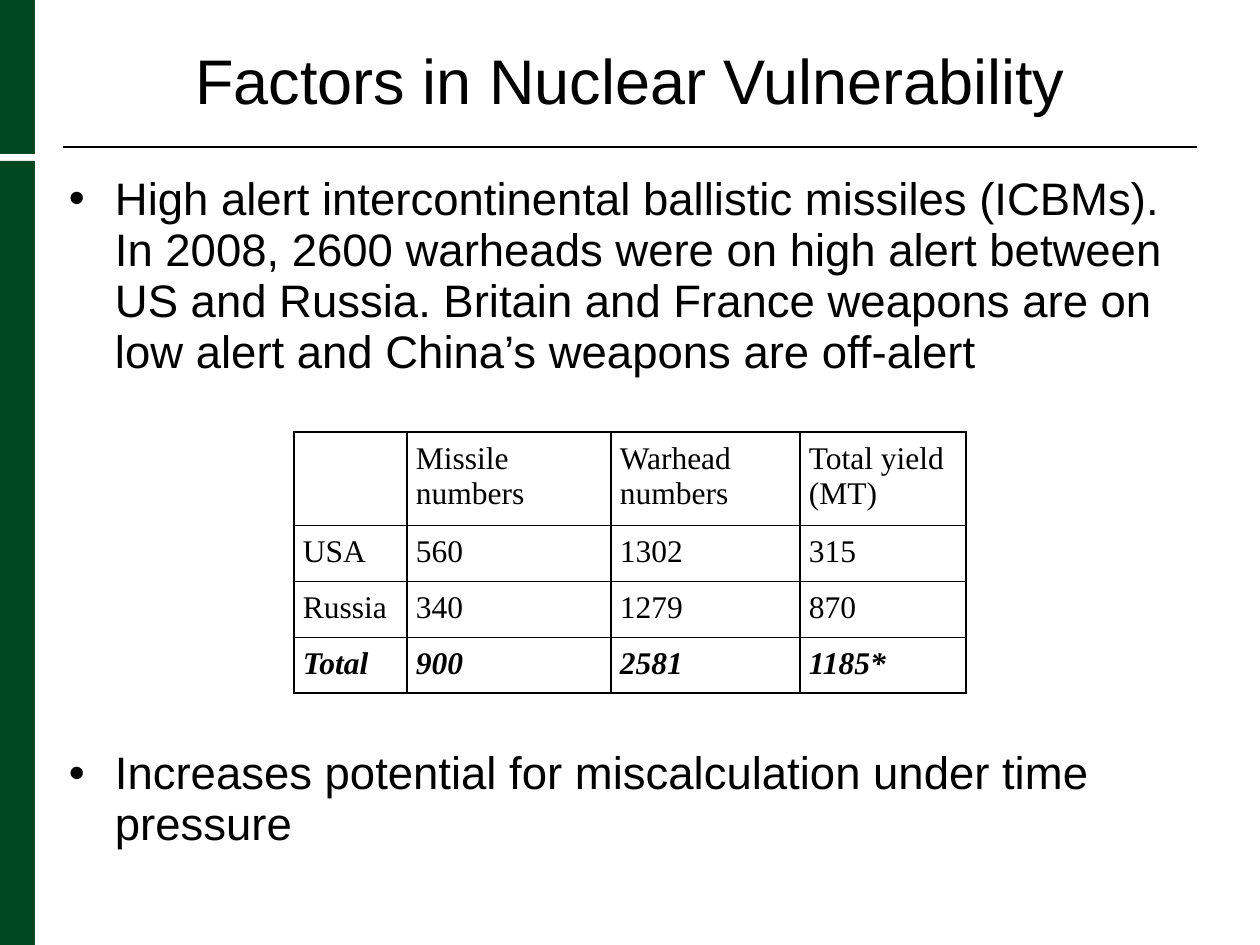
from dataclasses import dataclass

from lxml.etree import SubElement
from pptx import Presentation
from pptx.dml.color import RGBColor
from pptx.enum.shapes import MSO_CONNECTOR, MSO_SHAPE
from pptx.enum.text import MSO_ANCHOR as Anchor, MSO_AUTO_SIZE as AutoSize, PP_ALIGN as Align
from pptx.oxml.ns import qn
from pptx.util import Emu, Pt

PX = 914400 / 126
BLACK, GREEN = "000000", "004821"
SANS, SERIF = "Arial", "Times New Roman"


@dataclass(frozen=True)
class Band:
    top: int
    height: int


@dataclass(frozen=True)
class Point:
    text: str
    space_before: float


BANDS = [Band(161, 784), Band(0, 154)]
POINTS = [
    Point("High alert intercontinental ballistic missiles (ICBMs). In 2008, 2600 "
          "warheads were on high alert between US and Russia. Britain and France "
          "weapons are on low alert and China’s weapons are off-alert", 6),
    Point("Increases potential for miscalculation under time pressure", 211),
]
ARSENALS = [
    ["", "Missile numbers", "Warhead numbers", "Total yield (MT)"],
    ["USA", "560", "1302", "315"],
    ["Russia", "340", "1279", "870"],
    ["Total", "900", "2581", "1185*"],
]
COLUMN_WIDTHS = [113, 204, 189, 166]
ROW_HEIGHTS = [88, 54, 53, 54]


def px(length: float) -> Emu:
    return Emu(round(length * PX))


def color(value: str) -> RGBColor:
    return RGBColor.from_string(value)


def add_text(paragraph, text: str, font: str, size: float, strong: bool = False) -> None:
    run = paragraph.add_run()
    run.text = text
    run.font.name, run.font.size = font, Pt(size)
    run.font.bold = run.font.italic = strong
    run.font.color.rgb = color(BLACK)


def set_insets(target, inset: int) -> None:
    target.margin_left = target.margin_right = px(inset)
    target.margin_top = target.margin_bottom = px(inset)


def add_bullet(paragraph, indent: int) -> None:
    props = paragraph._p.get_or_add_pPr()
    props.set("marL", str(px(indent)))
    props.set("indent", str(-px(indent)))
    SubElement(props, qn("a:buFont"), typeface=SANS)
    SubElement(props, qn("a:buChar"), char="•")


def add_borders(cell) -> None:
    props = cell._tc.get_or_add_tcPr()
    for position, side in enumerate(("lnL", "lnR", "lnT", "lnB")):
        line = SubElement(props, qn(f"a:{side}"), w=str(Pt(0.75)))
        fill = SubElement(line, qn("a:solidFill"))
        SubElement(fill, qn("a:srgbClr"), val=BLACK)
        props.insert(position, line)


prs = Presentation()
prs.slide_width, prs.slide_height = px(1260), px(945)
slide = prs.slides.add_slide(prs.slide_layouts[5])
shapes = slide.shapes

# Side bands
for band in BANDS:
    side = shapes.add_shape(MSO_SHAPE.RECTANGLE, 0, px(band.top), px(35), px(band.height))
    side.shadow.inherit = False
    side.fill.solid()
    side.fill.fore_color.rgb = color(GREEN)
    side.line.fill.background()

# Rule under the title
rule = shapes.add_connector(MSO_CONNECTOR.STRAIGHT, px(63), px(147), px(1197), px(147))
rule.line.color.rgb = color(BLACK)
rule.line.width = Pt(0.75)
SubElement(rule._element.spPr, qn("a:effectLst"))

# Title
title = shapes.title
title.left, title.top, title.width, title.height = px(63), 0, px(1134), px(158)
heading = title.text_frame
heading.auto_size = AutoSize.NONE
heading.vertical_anchor = Anchor.MIDDLE
set_insets(heading, 6)
heading.paragraphs[0].alignment = Align.CENTER
add_text(heading.paragraphs[0], "Factors in Nuclear Vulnerability", SANS, 36)

# Bulleted points, spaced to leave room for the table
body = shapes.add_textbox(px(63), px(168), px(1134), px(677)).text_frame
body.word_wrap = True
set_insets(body, 6)
for index, point in enumerate(POINTS):
    paragraph = body.add_paragraph() if index else body.paragraphs[0]
    paragraph.line_spacing = 0.94
    paragraph.space_before = Pt(point.space_before)
    add_bullet(paragraph, 46)
    add_text(paragraph, point.text, SANS, 26)

# Arsenal table
table = shapes.add_table(len(ARSENALS), len(COLUMN_WIDTHS), px(294), px(432),
                         px(sum(COLUMN_WIDTHS)), px(sum(ROW_HEIGHTS))).table
table.first_row = table.horz_banding = False
for column, width in zip(table.columns, COLUMN_WIDTHS):
    column.width = px(width)
for row, height, values in zip(table.rows, ROW_HEIGHTS, ARSENALS):
    row.height = px(height)
    for cell, value in zip(row.cells, values):
        set_insets(cell, 9)
        cell.fill.background()
        add_borders(cell)
        if value:
            add_text(cell.text_frame.paragraphs[0], value, SERIF, 18, values[0] == "Total")

prs.save("out.pptx")
